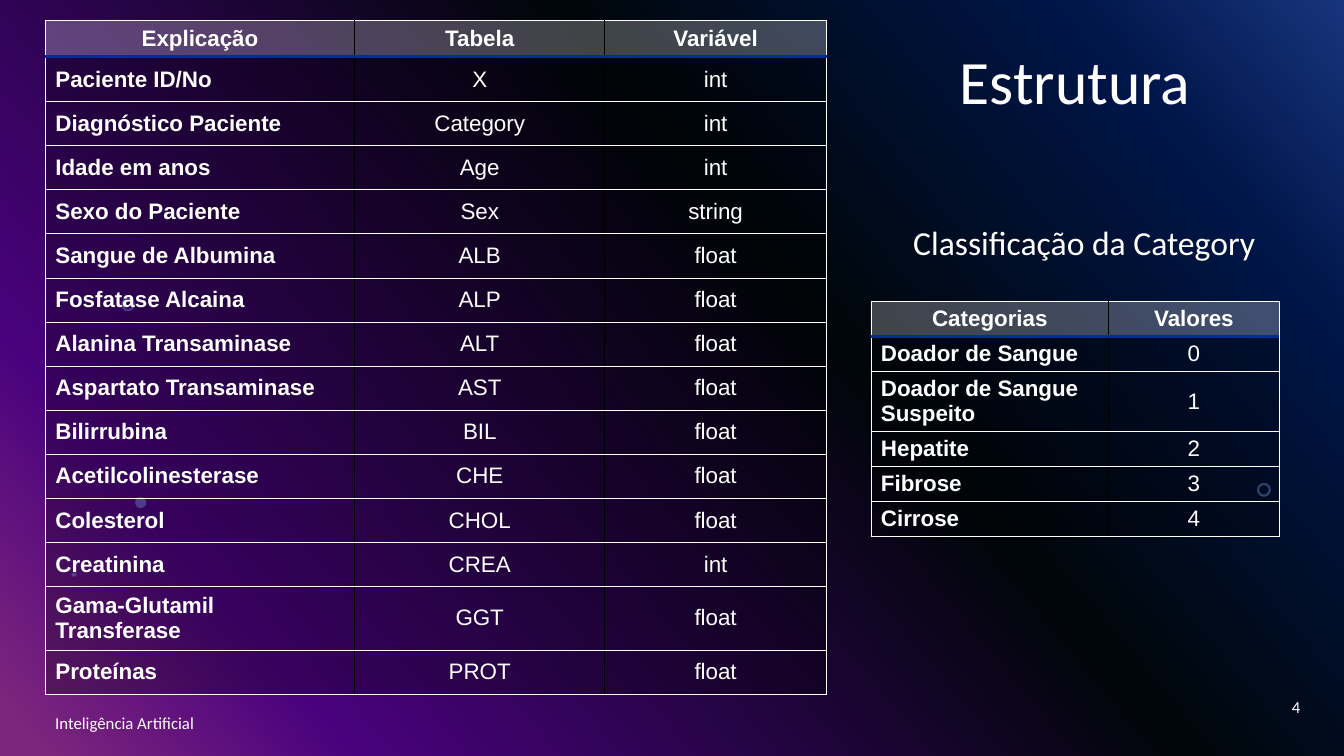
from lxml import etree
from pptx import Presentation
from pptx.dml.color import RGBColor
from pptx.enum.shapes import MSO_CONNECTOR, MSO_SHAPE
from pptx.enum.text import MSO_ANCHOR, MSO_AUTO_SIZE, PP_ALIGN
from pptx.oxml.ns import qn
from pptx.util import Pt

LEFT, CENTER, RIGHT = PP_ALIGN.LEFT, PP_ALIGN.CENTER, PP_ALIGN.RIGHT
MIDDLE = MSO_ANCHOR.MIDDLE
NO_AUTOFIT = MSO_AUTO_SIZE.NONE
RECTANGLE, OVAL, DONUT = MSO_SHAPE.RECTANGLE, MSO_SHAPE.OVAL, MSO_SHAPE.DONUT
STRAIGHT = MSO_CONNECTOR.STRAIGHT

WHITE = RGBColor(0xFF, 0xFF, 0xFF)
BLACK = RGBColor(0x00, 0x00, 0x00)
SKY = RGBColor(0x83, 0xA7, 0xFD)
BRIGHT_BLUE = RGBColor(0x31, 0x6C, 0xFC)
DEEP_BLUE = RGBColor(0x02, 0x2D, 0x94)
NIGHT = RGBColor(0x02, 0x0D, 0x13)
VIOLET = RGBColor(0x94, 0x05, 0xFC)
PINK = RGBColor(0xFC, 0x4E, 0xFB)

WIDTH, HEIGHT = 960, 540
BACKDROP = [(0, BRIGHT_BLUE), (14, DEEP_BLUE), (40, NIGHT), (82, VIOLET), (98, PINK)]
BUBBLES = [
    (DONUT, 86.4, 212.4, 10, 10),
    (OVAL, 96.5, 355, 8, 8),
    (DONUT, 897.8, 344.9, 10, 10),
    (OVAL, 51.1, 409, 3.6, 2.9),
]
VARIABLES = [
    ("Explicação", "Tabela", "Variável"),
    ("Paciente ID/No", "X", "int"),
    ("Diagnóstico Paciente", "Category", "int"),
    ("Idade em anos", "Age", "int"),
    ("Sexo do Paciente", "Sex", "string"),
    ("Sangue de Albumina", "ALB", "float"),
    ("Fosfatase Alcaina", "ALP", "float"),
    ("Alanina Transaminase", "ALT", "float"),
    ("Aspartato Transaminase", "AST", "float"),
    ("Bilirrubina", "BIL", "float"),
    ("Acetilcolinesterase", "CHE", "float"),
    ("Colesterol", "CHOL", "float"),
    ("Creatinina", "CREA", "int"),
    ("Gama-Glutamil Transferase", "GGT", "float"),
    ("Proteínas", "PROT", "float"),
]
CATEGORIES = [
    ("Categorias", "Valores"),
    ("Doador de Sangue", "0"),
    ("Doador de Sangue Suspeito", "1"),
    ("Hepatite", "2"),
    ("Fibrose", "3"),
    ("Cirrose", "4"),
]


class SlideBuilder:
    heading_font = "Calibri"
    table_font = "Arial"
    table_size = 16

    def __init__(self, page):
        self.page = page

    def tint(self, fill, holder, colour, opacity):
        """Fill with a see-through colour; holder is the XML parent of the fill."""
        fill.solid()
        fill.fore_color.rgb = colour
        alpha = etree.SubElement(holder.find(qn("a:solidFill"))[0], qn("a:alpha"))
        alpha.set("val", str(opacity * 1000))

    def backdrop(self, stops, angle):
        fill = self.page.background.fill
        fill.gradient()
        fill.gradient_angle = angle
        stop_list = next(self.page.element.iter(qn("a:gsLst")))
        for stop in list(stop_list):
            stop_list.remove(stop)
        for position, colour in stops:
            stop = etree.SubElement(stop_list, qn("a:gs"), pos=str(position * 1000))
            etree.SubElement(stop, qn("a:srgbClr"), val=str(colour))

    def shape(self, kind, left, top, width, height, colour, opacity):
        shape = self.page.shapes.add_shape(kind, Pt(left), Pt(top), Pt(width), Pt(height))
        shape.shadow.inherit = False
        shape.line.fill.background()
        self.tint(shape.fill, shape.element.spPr, colour, opacity)
        if kind == DONUT:
            shape.adjustments[0] = 0.16

    def add_span(self, frame, text, size, align, font, bold=False, spacing=None):
        para = frame.paragraphs[0]
        para.alignment = align
        if spacing:
            para.line_spacing = spacing
        span = para.add_run()
        span.text = text
        span.font.name = font
        span.font.size = Pt(size)
        span.font.bold = bold
        span.font.color.rgb = WHITE

    def label(self, box, text, size, align, spacing=None):
        frame = box.text_frame
        frame.word_wrap = True
        frame.auto_size = NO_AUTOFIT
        frame.vertical_anchor = MIDDLE
        self.add_span(frame, text, size, align, self.heading_font, spacing=spacing)

    def title(self, left, top, width, height, text, size):
        title = self.page.shapes.title
        title.left, title.top = Pt(left), Pt(top)
        title.width, title.height = Pt(width), Pt(height)
        title.element.getparent().append(title.element)  # above the backdrop shapes
        self.label(title, text, size, CENTER, 0.9)

    def text(self, left, top, width, height, text, size, align, spacing=None):
        box = self.page.shapes.add_textbox(Pt(left), Pt(top), Pt(width), Pt(height))
        self.label(box, text, size, align, spacing)

    def line(self, left, top, width, colour, weight):
        line = self.page.shapes.add_connector(
            STRAIGHT, Pt(left), Pt(top), Pt(left + width), Pt(top))
        line.line.color.rgb = colour
        line.line.width = Pt(weight)
        etree.SubElement(line.element.spPr, qn("a:effectLst"))

    def border(self, properties, side, colour, weight):
        edge = etree.SubElement(properties, qn("a:ln" + side), w=str(Pt(weight)))
        fill = etree.SubElement(edge, qn("a:solidFill"))
        etree.SubElement(fill, qn("a:srgbClr"), val=str(colour))

    def table(self, left, top, widths, heights, rows):
        frame = self.page.shapes.add_table(
            len(rows), len(widths), Pt(left), Pt(top), Pt(sum(widths)), Pt(sum(heights)))
        table = frame.table
        table.horz_banding = False
        for column, width in zip(table.columns, widths):
            column.width = Pt(width)
        for row, height in zip(table.rows, heights):
            row.height = Pt(height)
        outer, inner, under_header = (WHITE, 0.5), (BLACK, 1), (WHITE, 1)
        last = len(widths) - 1
        for r, texts in enumerate(rows):
            for c, text in enumerate(texts):
                cell = table.cell(r, c)
                cell.vertical_anchor = MIDDLE
                properties = cell._tc.get_or_add_tcPr()
                self.border(properties, "L", *(inner if c else outer))
                self.border(properties, "R", *(inner if c < last else outer))
                self.border(properties, "T", *(under_header if r == 1 else outer))
                self.border(properties, "B", *(outer if r else under_header))
                self.tint(cell.fill, properties, BLACK if r else WHITE, 25)
                self.add_span(cell.text_frame, text, self.table_size,
                              LEFT if r and c == 0 else CENTER, self.table_font,
                              bold=r == 0 or c == 0)


def main():
    deck = Presentation()
    deck.slide_width, deck.slide_height = Pt(WIDTH), Pt(HEIGHT)
    page = deck.slides.add_slide(deck.slide_layouts[5])
    builder = SlideBuilder(page)

    builder.backdrop(BACKDROP, 220)
    builder.shape(RECTANGLE, 0, 0, WIDTH, HEIGHT, BLACK, 50)
    for bubble in BUBBLES:
        builder.shape(*bubble, SKY, 49)

    builder.title(636.5, 14.4, 262.8, 91.4, "Estrutura", 44)
    variable_widths = [221, 178.6, 158.4]
    builder.table(32.4, 14.4, variable_widths,
                  [26.6] + [31.5] * 12 + [45.4, 31.5], VARIABLES)
    builder.text(32.4, 501.8, 324, 28.8, "Inteligência Artificial", 12, LEFT)
    builder.text(720, 490.3, 216, 28.8, "4", 12, RIGHT)
    builder.line(32.4, 40.3, sum(variable_widths), DEEP_BLUE, 2)

    builder.text(643, 128.9, 262.8, 91.4, "Classificação da Category", 24, CENTER, 0.9)
    category_widths = [169.9, 121.7]
    builder.table(622.1, 215.3, category_widths,
                  [25, 25, 43, 25, 25, 25], CATEGORIES)
    builder.line(622.1, 240.5, sum(category_widths), DEEP_BLUE, 2)

    deck.save("out.pptx")


if __name__ == "__main__":
    main()
